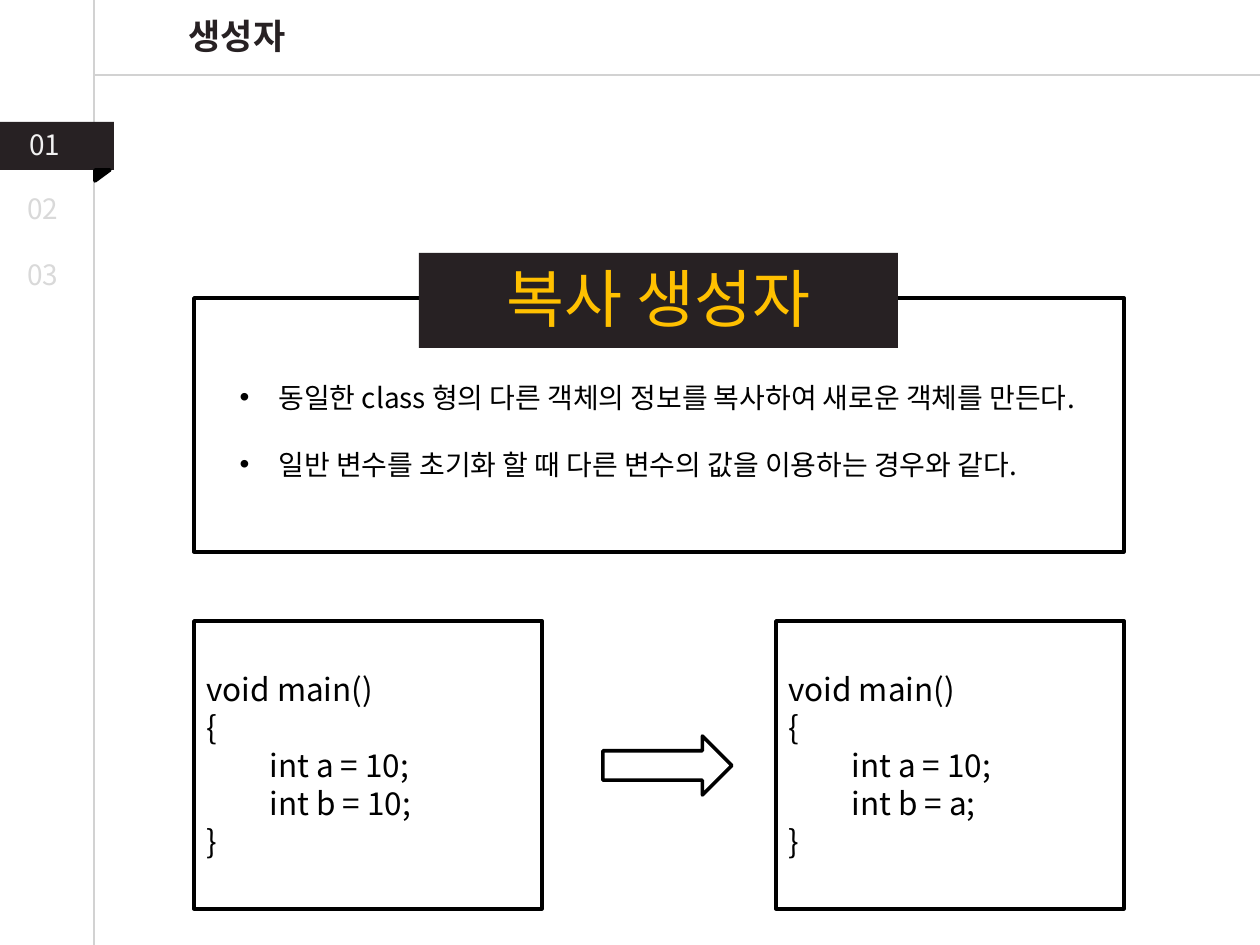
import pptx
import pptx.util
import pptx.dml.color
import pptx.enum.shapes
import pptx.enum.text
import pptx.oxml.ns
from lxml import etree

PX = 914400 // 126
HEX = {"ink": "272123", "black": "000000", "gold": "FFC000",
       "rule": "D2D2D2", "pale": "F2F2F2", "gray": "D9D9D9"}
FONT = "Noto Sans CJK KR"
Pt = pptx.util.Pt
KIND = pptx.enum.shapes.MSO_SHAPE
ALIGN = pptx.enum.text.PP_ALIGN
MID = pptx.enum.text.MSO_ANCHOR.MIDDLE
TOP = pptx.enum.text.MSO_ANCHOR.TOP
NONE = pptx.enum.text.MSO_AUTO_SIZE.NONE
qn = pptx.oxml.ns.qn

deck = pptx.Presentation()
deck.slide_width, deck.slide_height = 1260 * PX, 945 * PX
slide = deck.slides.add_slide(deck.slide_layouts[1])
shapes = slide.shapes


def write(item, lines, size, color, align=ALIGN.LEFT, anchor=TOP, bold=False, gap=0):
    """Fill an item with formatted paragraphs."""
    frame = item.text_frame
    look = {"word_wrap": True, "auto_size": NONE, "vertical_anchor": anchor}
    for key, val in look.items():
        setattr(frame, key, val)
    frame.text = "\n".join(lines)
    for para in frame.paragraphs:
        form = {"alignment": align, "space_before": Pt(0), "space_after": Pt(gap)}
        for key, val in form.items():
            setattr(para, key, val)
        for run in para.runs:
            for key, val in {"size": Pt(size), "bold": bold, "name": FONT}.items():
                setattr(run.font, key, val)
            run.font.color.rgb = pptx.dml.color.RGBColor.from_string(HEX[color])
            east = etree.SubElement(run.font._element, qn("a:ea"))
            east.set("typeface", FONT)


def draw(kind, box, fill=None, line=None):
    """Add a preset shape with a plain fill and outline."""
    item = shapes.add_shape(kind, *[n * PX for n in box])
    item.shadow.inherit = False
    for part, tone in ((item.fill, fill), (item.line.fill, line)):
        if tone:
            part.solid()
            part.fore_color.rgb = pptx.dml.color.RGBColor.from_string(HEX[tone])
        else:
            part.background()
    if line:
        item.line.width = Pt(2)
    return item


# Title and list
title, body = shapes.title, slide.placeholders[1]
for item, box in ((title, (102, 8, 270, 55)), (body, (227, 374, 890, 149))):
    item.left, item.top, item.width, item.height = [n * PX for n in box]
write(title, ["생성자"], 20, "ink", ALIGN.CENTER, MID, True)
write(body, ["동일한 class 형의 다른 객체의 정보를 복사하여 새로운 객체를 만든다.",
             "일반 변수를 초기화 할 때 다른 변수의 값을 이용하는 경우와 같다."],
      16, "black", gap=19)
body.text_frame.margin_right = 0
for para in body.text_frame.paragraphs:
    props = para._p.get_or_add_pPr()
    props.set("marL", str(39 * PX))
    props.set("indent", str(-39 * PX))
    etree.SubElement(props, qn("a:buChar")).set("char", "•")

# Page rules
for ends in ((94, 0, 94, 945), (95, 75, 1260, 75)):
    rule = shapes.add_connector(pptx.enum.shapes.MSO_CONNECTOR.STRAIGHT,
                                *[n * PX for n in ends])
    rule.line.width = Pt(0.75)
    rule.line.color.rgb = pptx.dml.color.RGBColor.from_string(HEX["rule"])
    etree.SubElement(rule._element.spPr, qn("a:effectLst"))

# Side tabs
draw(KIND.RECTANGLE, (0, 122, 114, 48), "ink")
fold = draw(KIND.RIGHT_TRIANGLE, (97, 168, 11, 15), "black", "black")
fold.rotation = 90
for label, left, top, color in (("01", 17, 121, "pale"), ("02", 15, 185, "gray"),
                                ("03", 15, 251, "gray")):
    tab = shapes.add_textbox(left * PX, top * PX, 74 * PX, 47 * PX)
    write(tab, [label], 16, color)

# Framed heading
draw(KIND.RECTANGLE, (194, 298, 930, 254), line="black")
draw(KIND.RECTANGLE, (419, 253, 479, 95), "ink")
head = shapes.add_textbox(377 * PX, 253 * PX, 563 * PX, 89 * PX)
write(head, ["복사 생성자"], 36, "gold", ALIGN.CENTER)

# Code boxes and arrow
for left, value in ((194, "10"), (776, "a")):
    code = draw(KIND.RECTANGLE, (left, 621, 348, 288), line="black")
    write(code, ["void main()", "{", "\tint a = 10;", f"\tint b = {value};", "}"],
          18, "black", anchor=MID)
draw(KIND.RIGHT_ARROW, (603, 736, 129, 59), line="black")

deck.save("out.pptx")
